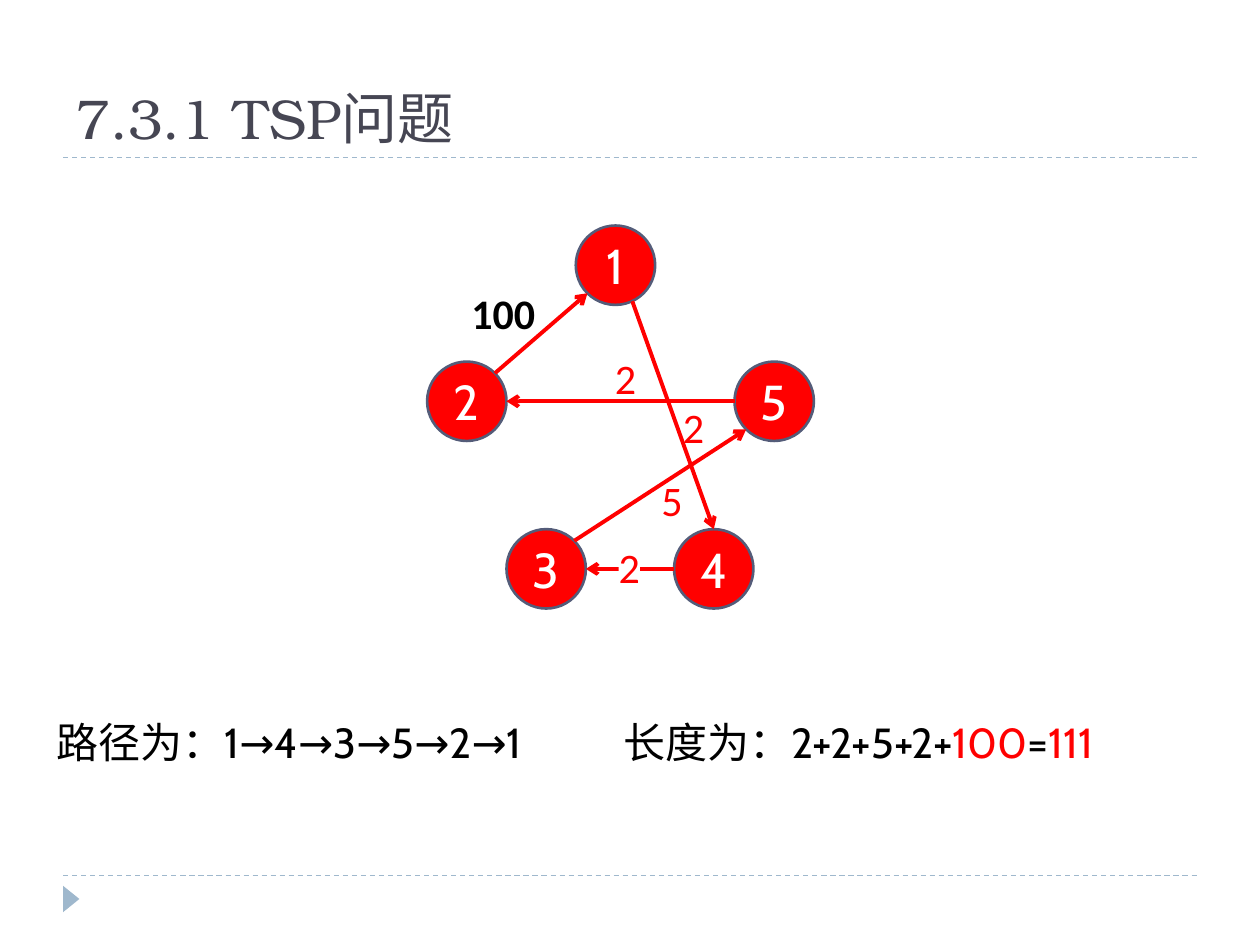
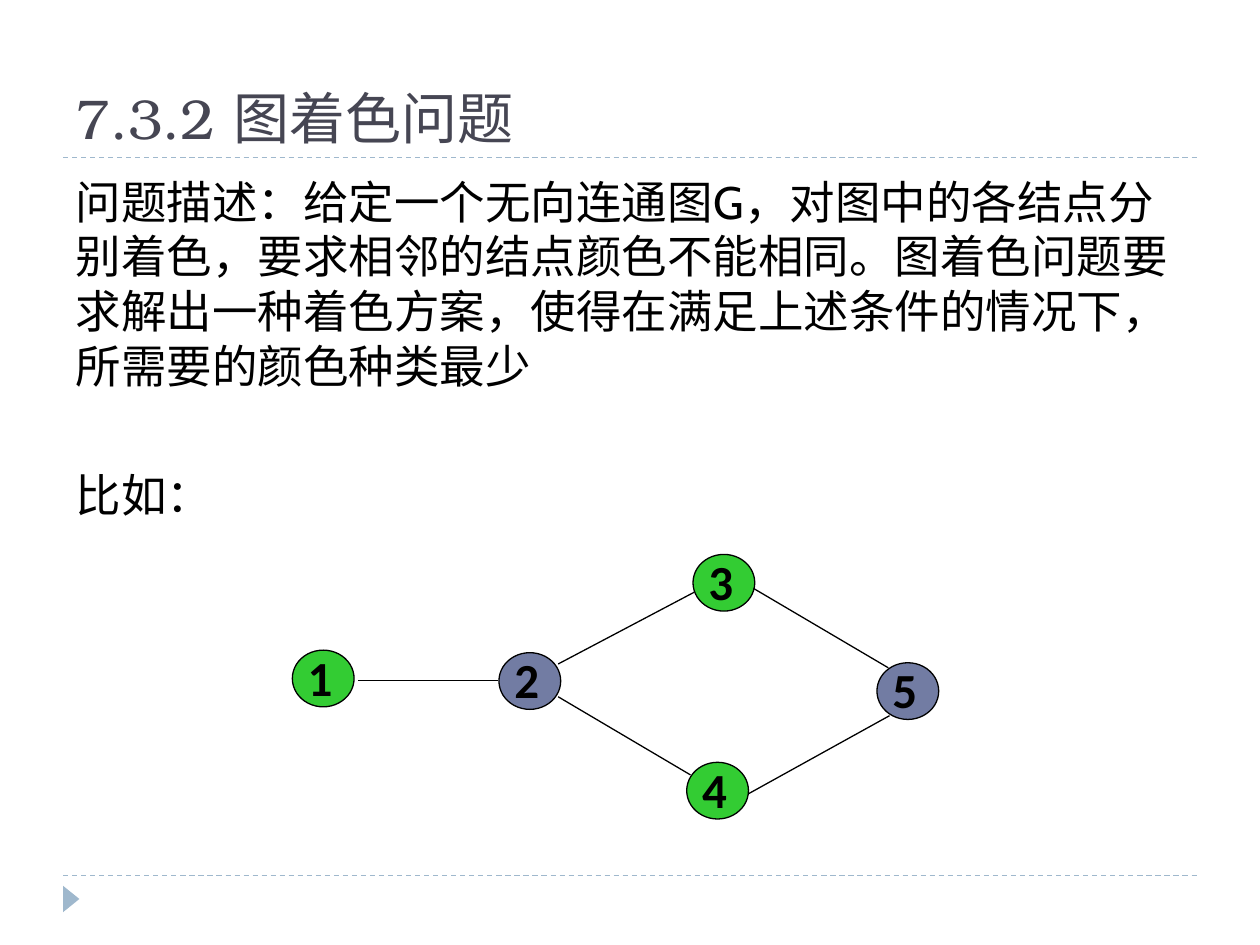
import math

from lxml import etree
from pptx import Presentation, util as u
from pptx.dml.color import RGBColor
from pptx.enum import dml, shapes, text
from pptx.oxml import ns

RED, GREEN, SLATE = "FF0000", "33CC33", "727CA3"
BLACK, WHITE, TITLE, OUTLINE, RULE = "000000", "FFFFFF", "464653", "545C79", "9FB8CD"
SERIF, SANS, PLAIN = "TeX Gyre Bonum", "Cabin", "Calibri"
COLUMNS = 10  # square grid cells across the slide width
ALIGN = text.PP_ALIGN


def rgb(value):
    return RGBColor.from_string(value)


class Deck:
    def __init__(self):
        self.file = Presentation()
        self.file.slide_width, self.file.slide_height = u.Inches(10), u.Inches(7.5)
        self.slide = None

    def cells(self, *counts):
        """Turn counts of grid cells into slide lengths."""
        return [round(self.file.slide_width * count / COLUMNS) for count in counts]

    def place(self, shape, *box):
        shape.left, shape.top, shape.width, shape.height = self.cells(*box)

    def style(self, paragraph, size, face, color, bold=False, align=ALIGN.LEFT):
        paragraph.alignment = align
        for run in paragraph.runs:
            font = run.font
            font.size, font.name, font.bold = u.Pt(size), face, bold
            font.color.rgb = rgb(color)

    def margins(self, frame, left=0.0):
        frame.margin_left = self.cells(left)[0]
        frame.margin_top = frame.margin_right = frame.margin_bottom = 0

    def start(self, heading, layout):
        """Begin a slide with its title, dashed rules and corner marker."""
        self.slide = self.file.slides.add_slide(self.file.slide_layouts[layout])
        for row in (6.95, 1.25):
            self.line((0.5, row), (9.5, row), RULE, 0.75, dashed=True)
        marker = self.shape(shapes.MSO_SHAPE.ISOSCELES_TRIANGLE,
                            (0.46, 7.07, 0.21, 0.13), RULE)
        marker.rotation = 90
        title = self.slide.shapes.title
        self.place(title, 0.5, 0.17, 9, 1.08)
        title.text_frame.text = heading
        title.text_frame.vertical_anchor = text.MSO_ANCHOR.BOTTOM
        self.style(title.text_frame.paragraphs[0], 32, SERIF, TITLE)

    def body(self, paragraphs, gap):
        holder = self.slide.placeholders[1]
        self.place(holder, 0.5, 1.33, 9, 5.4)
        frame = holder.text_frame
        frame.text = "\n".join(paragraphs)
        for index, paragraph in enumerate(frame.paragraphs):
            properties = paragraph._p.get_or_add_pPr()
            properties.set("marL", "0")
            properties.set("indent", "0")
            etree.SubElement(properties, ns.qn("a:buNone"))
            paragraph.space_before = u.Pt(gap if index else 0)
            self.style(paragraph, 26, SANS, BLACK)

    def shape(self, kind, box, fill, outline=None, weight=0.75):
        shape = self.slide.shapes.add_shape(kind, *self.cells(*box))
        shape.shadow.inherit = False
        shape.fill.solid()
        shape.fill.fore_color.rgb = rgb(fill)
        if outline:
            shape.line.color.rgb = rgb(outline)
            shape.line.width = u.Pt(weight)
        else:
            shape.line.fill.background()
        return shape

    def node(self, name, box, fill, outline, weight):
        node = self.shape(shapes.MSO_SHAPE.OVAL, box, fill, outline, weight)
        node.text_frame.text = name
        return node.text_frame

    def tour_node(self, name, left, top, size):
        frame = self.node(name, (left, top, size, size), RED, OUTLINE, 1.5)
        frame.vertical_anchor = text.MSO_ANCHOR.MIDDLE
        self.style(frame.paragraphs[0], 28, SANS, WHITE, align=ALIGN.CENTER)

    def colored_node(self, name, left, top, fill):
        frame = self.node(name, (left, top, 0.49, 0.45), fill, BLACK, 0.75)
        self.margins(frame, 0.05)
        frame.vertical_anchor = text.MSO_ANCHOR.TOP
        frame.paragraphs[0].line_spacing = 0.8
        self.style(frame.paragraphs[0], 28, PLAIN, BLACK, True, ALIGN.JUSTIFY)

    def line(self, start, end, color, weight, dashed=False, arrow=False):
        line = self.slide.shapes.add_connector(
            shapes.MSO_CONNECTOR.STRAIGHT, *self.cells(*start, *end))
        line.line.color.rgb = rgb(color)
        line.line.width = u.Pt(weight)
        if dashed:
            line.line.dash_style = dml.MSO_LINE.DASH
        if arrow:
            etree.SubElement(line.line._get_or_add_ln(), ns.qn("a:tailEnd"), type="arrow")
        etree.SubElement(line._element.spPr, ns.qn("a:effectLst"))

    def weight_label(self, value, left, top, width=0.17, color=RED, bold=False, fill=None):
        label = self.slide.shapes.add_textbox(*self.cells(left, top, width, 0.4))
        if fill:
            label.fill.solid()
            label.fill.fore_color.rgb = rgb(fill)
        frame = label.text_frame
        self.margins(frame)
        frame.text = value
        self.style(frame.paragraphs[0], 24, PLAIN, color, bold)

    def result(self, parts, box):
        """Write one line of text from (words, colour) parts."""
        paragraph = self.slide.shapes.add_textbox(
            *self.cells(*box)).text_frame.paragraphs[0]
        for words, _ in parts:
            paragraph.add_run().text = words
        self.style(paragraph, 24, SANS, BLACK)
        for run, (_, color) in zip(paragraph.runs, parts):
            run.font.color.rgb = rgb(color)


def tour_slide(deck):
    deck.start("7.3.1 TSP问题", 5)
    size = 0.63
    cities = {"1": (4.57, 1.79), "5": (5.83, 2.87), "2": (3.39, 2.87),
              "3": (4.02, 4.2), "4": (5.35, 4.2)}
    for name, (left, top) in cities.items():
        deck.tour_node(name, left, top, size)

    def rim(name, degrees):
        """Point on a city's circle, clockwise from the right."""
        angle, radius = math.radians(degrees), size / 2
        left, top = cities[name]
        return (left + radius + radius * math.cos(angle),
                top + radius + radius * math.sin(angle))

    tour = [("1", 65, "4", 270), ("5", 180, "2", 0), ("4", 180, "3", 0),
            ("3", 315, "5", 135), ("2", 315, "1", 135)]
    for origin, leaving, target, arriving in tour:
        deck.line(rim(origin, leaving), rim(target, arriving), RED, 2.25, arrow=True)
    for value, left, top in [("2", 5.42, 3.19), ("2", 4.88, 2.8), ("5", 5.25, 3.77)]:
        deck.weight_label(value, left, top)
    deck.weight_label("2", 4.91, 4.3, fill=WHITE)
    deck.weight_label("100", 3.74, 2.28, 0.51, BLACK, True)
    deck.result([("路径为：1→4→3→5→2→1\t\t长度为：2+2+5+2+", BLACK),
                 ("100", RED), ("=", BLACK), ("111", RED)], (0.35, 5.64, 9.26, 0.5))


def coloring_slide(deck):
    deck.start("7.3.2 图着色问题", 1)
    deck.body(["问题描述：给定一个无向连通图G，对图中的各结点分别着色，"
               "要求相邻的结点颜色不能相同。图着色问题要求解出一种着色方案，"
               "使得在满足上述条件的情况下，所需要的颜色种类最少",
               "比如："], gap=43)
    for name, left, top, fill in [("1", 2.32, 5.16, GREEN), ("2", 3.96, 5.18, SLATE),
                                  ("3", 5.5, 4.4, GREEN), ("4", 5.45, 6.05, GREEN),
                                  ("5", 6.96, 5.26, SLATE)]:
        deck.colored_node(name, left, top, fill)
    for start, end in [((2.84, 5.4), (3.95, 5.4)), ((4.43, 5.27), (5.51, 4.7)),
                       ((4.43, 5.53), (5.48, 6.15)), ((5.94, 6.3), (7.06, 5.68)),
                       ((7.05, 5.3), (5.98, 4.67))]:
        deck.line(start, end, BLACK, 0.75)


def main():
    deck = Deck()
    tour_slide(deck)
    coloring_slide(deck)
    deck.file.save("out.pptx")


if __name__ == "__main__":
    main()
